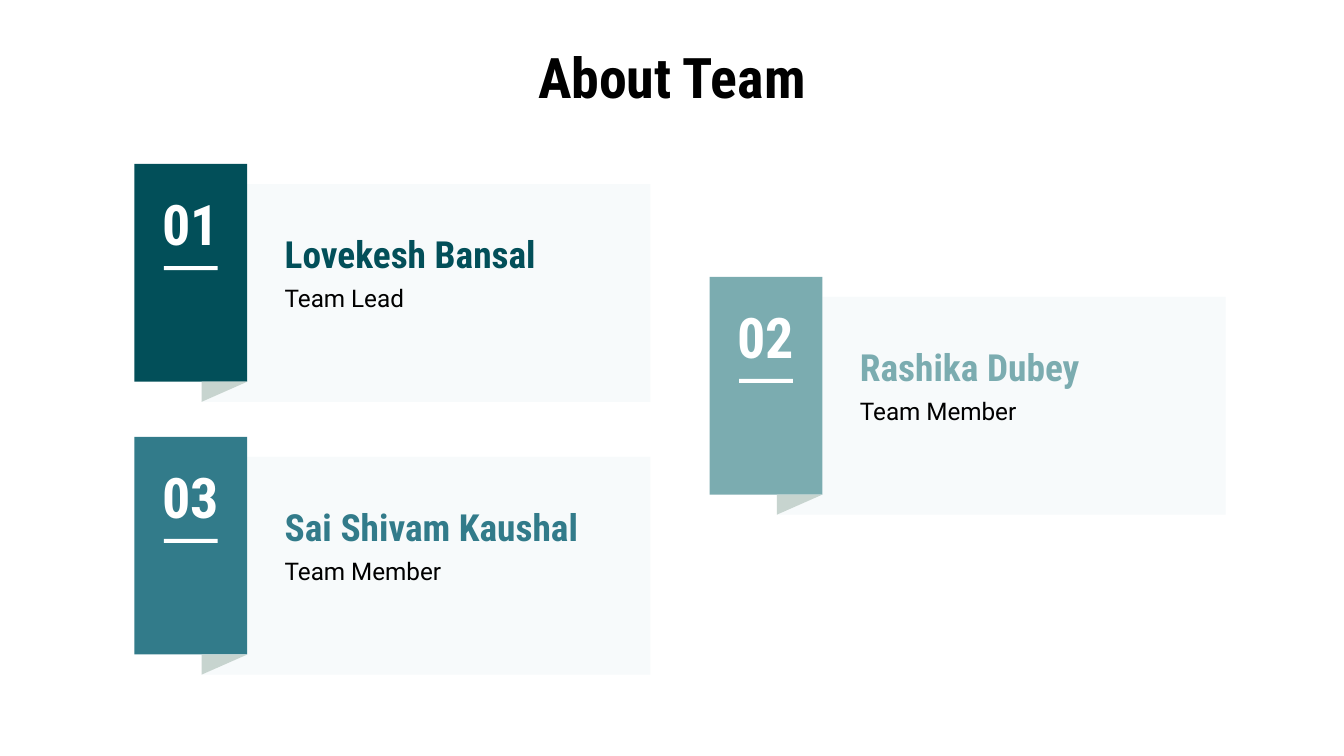
from pptx import Presentation
from pptx.dml.color import RGBColor
from pptx.enum.shapes import MSO_SHAPE
from pptx.enum.text import MSO_ANCHOR, PP_ALIGN
from pptx.util import Inches, Pt

RECTANGLE = MSO_SHAPE.RECTANGLE
TOP = MSO_ANCHOR.TOP
LEFT, CENTER = PP_ALIGN.LEFT, PP_ALIGN.CENTER

HEADING_FONT, BODY_FONT = "Roboto Condensed", "Roboto"
BLACK, WHITE, PANEL, FOLD = "000000", "FFFFFF", "F7FAFB", "C7D4CF"

TITLE = "About Team"
# number, name, role, colour, left, top
MEMBERS = [
    ("01", "Lovekesh Bansal", "Team Lead", "024F59", 1, 1.22),
    ("02", "Rashika Dubey", "Team Member", "7BACB0", 5.28, 2.06),
    ("03", "Sai Shivam Kaushal", "Team Member", "327B8A", 1, 3.25),
]

TAB_W, TAB_H = 0.84, 1.62
FOLD_W, FOLD_H = 0.34, 0.15
CARD_W = 3.84
RULE_W, RULE_H = 0.4, 0.03
TEXT_X, TEXT_W = 1.02, 2.65


def rgb(color):
    return RGBColor.from_string(color)


def paint(sp, color):
    sp.shadow.inherit = False
    sp.fill.solid()
    sp.fill.fore_color.rgb = rgb(color)
    sp.line.fill.background()


def add_rect(shapes, x, y, w, h, color):
    sp = shapes.add_shape(RECTANGLE, Inches(x), Inches(y), Inches(w), Inches(h))
    paint(sp, color)


def add_polygon(shapes, points, color):
    points = [(Inches(x), Inches(y)) for x, y in points]
    builder = shapes.build_freeform(*points[0])
    builder.add_line_segments(points[1:], close=True)
    paint(builder.convert_to_shape(), color)


def add_text(shapes, text, x, y, w, h, size, color, font=HEADING_FONT, bold=True, align=LEFT):
    tf = shapes.add_textbox(Inches(x), Inches(y), Inches(w), Inches(h)).text_frame
    tf.word_wrap = True
    tf.vertical_anchor = TOP
    tf.margin_left = tf.margin_right = tf.margin_top = tf.margin_bottom = Inches(0.1)
    p = tf.paragraphs[0]
    p.text = text
    p.alignment = align
    p.font.name = font
    p.font.size = Pt(size)
    p.font.bold = bold
    p.font.color.rgb = rgb(color)


def add_card(s, number, name, role, color, x, y):
    shapes = s.shapes.add_group_shape().shapes
    tab_right, tab_bottom = x + TAB_W, y + TAB_H
    fold_x, bottom = tab_right - FOLD_W, tab_bottom + FOLD_H
    right, panel_top = x + CARD_W, y + FOLD_H

    add_polygon(shapes, [(tab_right, panel_top), (tab_right, tab_bottom), (fold_x, bottom),
                         (right, bottom), (right, panel_top)], PANEL)
    add_rect(shapes, x, y, TAB_W, TAB_H, color)
    add_polygon(shapes, [(fold_x, tab_bottom), (fold_x, bottom), (tab_right, tab_bottom)], FOLD)
    add_text(shapes, number, x, y + 0.09, TAB_W, 0.83, 30, WHITE, align=CENTER)
    add_rect(shapes, x + (TAB_W - RULE_W) / 2, y + 0.76, RULE_W, RULE_H, WHITE)
    add_text(shapes, name, x + TEXT_X, y + 0.4, TEXT_W, 0.46, 20, color)
    add_text(shapes, role, x + TEXT_X, y + 0.79, TEXT_W, 0.64, 13, BLACK, BODY_FONT, bold=False)


def main():
    prs = Presentation()
    prs.slide_width = Inches(10)
    prs.slide_height = prs.slide_width * 9 // 16
    s = prs.slides.add_slide(prs.slide_layouts[6])
    add_text(s.shapes, TITLE, 2.53, 0.22, 4.94, 0.68, 30, BLACK, align=CENTER)
    for member in MEMBERS:
        add_card(s, *member)
    prs.save("out.pptx")


if __name__ == "__main__":
    main()
